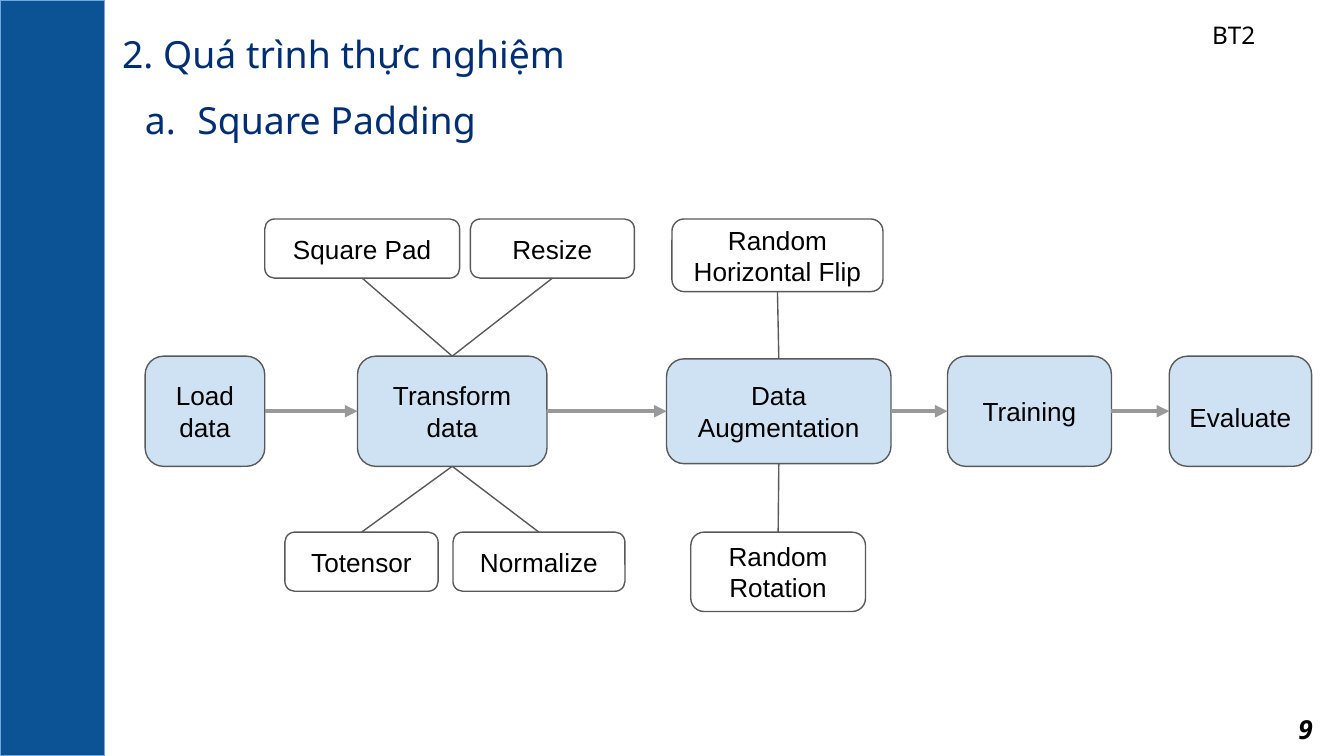
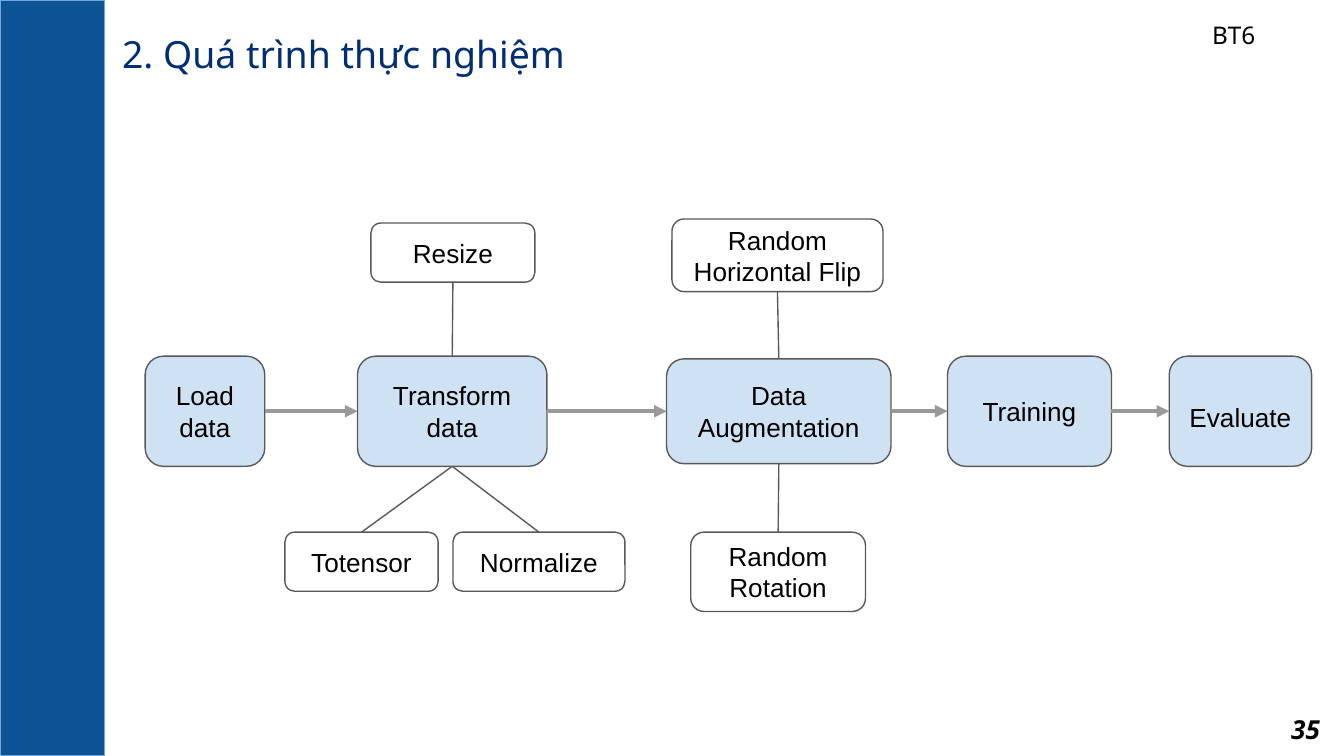
from lxml.etree import SubElement
from pptx import Presentation
from pptx.dml.color import RGBColor
from pptx.enum.shapes import MSO_CONNECTOR, MSO_SHAPE
from pptx.enum.text import MSO_ANCHOR, PP_ALIGN
from pptx.oxml.ns import qn
from pptx.util import Inches, Pt

# Shared style
BLACK = RGBColor(0x00, 0x00, 0x00)
WHITE = RGBColor(0xFF, 0xFF, 0xFF)
NAVY = RGBColor(0x00, 0x2E, 0x75)
BAND_BLUE = RGBColor(0x0B, 0x53, 0x94)
BAND_EDGE = RGBColor(0x6F, 0xA8, 0xDC)
STAGE_BLUE = RGBColor(0xCF, 0xE2, 0xF3)
OUTLINE = RGBColor(0x59, 0x59, 0x59)
ARROW_GREY = RGBColor(0x99, 0x99, 0x99)
HEADING_FONT = "Noto Sans"
DIAGRAM_FONT = "Arial"

# Widescreen, 16:9
SLIDE_WIDTH = 10
SLIDE_HEIGHT = SLIDE_WIDTH * 9 / 16
TITLE = "2. Quá trình thực nghiệm"

# Connection sites of a rounded rectangle
TOP, LEFT, BOTTOM, RIGHT = range(4)

# Main flow, left to right: text, left, top, width, height
STAGES = [
    ("Load data", 1.08, 2.65, 0.89, 0.82),
    ("Transform data", 2.66, 2.65, 1.41, 0.82),
    ("Data Augmentation", 4.96, 2.67, 1.67, 0.78),
    ("Training", 7.05, 2.65, 1.22, 0.82),
    ("Evaluate", 8.7, 2.65, 1.06, 0.82),
]
LINE_SPACING = {"Evaluate": 1.36}

# Steps on both slides, grouped by the stage they belong to
STEPS_ABOVE = {"Data Augmentation": [("Random Horizontal Flip", 5, 1.63, 1.57, 0.54)]}
STEPS_BELOW = {
    "Transform data": [
        ("Totensor", 2.12, 3.96, 1.14, 0.44),
        ("Normalize", 3.37, 3.96, 1.28, 0.44),
    ],
    "Data Augmentation": [("Random Rotation", 5.14, 3.96, 1.3, 0.59)],
}


def write_text(shape, text, font_name, size, color=BLACK, align=PP_ALIGN.CENTER,
               anchor=MSO_ANCHOR.MIDDLE, spacing=1.0):
    """Fill a shape with one styled paragraph and return the paragraph."""
    frame = shape.text_frame
    frame.word_wrap = True
    frame.vertical_anchor = anchor
    frame.margin_left = frame.margin_right = Inches(0.1)
    frame.margin_top = frame.margin_bottom = Inches(0.1)
    paragraph = frame.paragraphs[0]
    paragraph.text = text
    paragraph.alignment = align
    paragraph.line_spacing = spacing
    paragraph.font.name = font_name
    paragraph.font.size = Pt(size)
    paragraph.font.color.rgb = color
    return paragraph


def add_label(slide, text, box, size, **style):
    text_box = slide.shapes.add_textbox(*map(Inches, box))
    return write_text(text_box, text, HEADING_FONT, size, spacing=1.15, **style)


def add_heading(slide, text, left, top):
    return add_label(slide, text, (left, top, 3.89, 0.54), 20, color=NAVY,
                     align=PP_ALIGN.LEFT, anchor=MSO_ANCHOR.TOP)


def add_lettered_heading(slide, text, left, top):
    paragraph = add_heading(slide, text, left, top)
    properties = paragraph._p.get_or_add_pPr()
    properties.set("marL", str(Inches(0.5)))
    properties.set("indent", str(Inches(-0.39)))
    bullet_color = SubElement(properties, qn("a:buClr"))
    SubElement(bullet_color, qn("a:srgbClr"), val=str(NAVY))
    SubElement(properties, qn("a:buAutoNum"), type="alphaLcPeriod")
    # Default run properties must follow the bullet settings
    properties.append(properties.find(qn("a:defRPr")))


def add_panel(slide, kind, box, fill, line):
    shape = slide.shapes.add_shape(kind, *map(Inches, box))
    shape.shadow.inherit = False
    shape.fill.solid()
    shape.fill.fore_color.rgb = fill
    shape.line.color.rgb = line
    shape.line.width = Pt(0.75)
    return shape


def add_node(slide, text, box, fill):
    node = add_panel(slide, MSO_SHAPE.ROUNDED_RECTANGLE, box, fill, OUTLINE)
    write_text(node, text, DIAGRAM_FONT, 14, spacing=LINE_SPACING.get(text, 1.0))
    return node


def connect(slide, start, start_site, end, end_site, color=OUTLINE, width=0.75):
    connector = slide.shapes.add_connector(MSO_CONNECTOR.STRAIGHT, 0, 0, 0, 0)
    connector.begin_connect(start, start_site)
    connector.end_connect(end, end_site)
    connector.line.color.rgb = color
    connector.line.width = Pt(width)
    SubElement(connector._element.spPr, qn("a:effectLst"))
    return connector


def add_arrow(slide, start, end):
    arrow = connect(slide, start, RIGHT, end, LEFT, ARROW_GREY, 2.25)
    SubElement(arrow.line._get_or_add_ln(), qn("a:tailEnd"), type="triangle")


def add_steps(slide, stages, steps_by_stage, stage_site, step_site):
    for stage_name, steps in steps_by_stage.items():
        for text, *box in steps:
            step = add_node(slide, text, box, WHITE)
            connect(slide, step, step_site, stages[stage_name], stage_site)


def add_pipeline(slide, transform_steps_above):
    stages = {text: add_node(slide, text, box, STAGE_BLUE) for text, *box in STAGES}
    nodes = list(stages.values())
    for start, end in zip(nodes, nodes[1:]):
        add_arrow(slide, start, end)
    above = {"Transform data": transform_steps_above, **STEPS_ABOVE}
    add_steps(slide, stages, above, TOP, BOTTOM)
    add_steps(slide, stages, STEPS_BELOW, BOTTOM, TOP)


def add_base_slide(presentation, tag, number):
    """Add a slide with the side band, title, exercise tag and page number."""
    slide = presentation.slides.add_slide(presentation.slide_layouts[6])
    add_panel(slide, MSO_SHAPE.RECTANGLE, (0, 0, 0.78, SLIDE_HEIGHT), BAND_BLUE, BAND_EDGE)
    add_heading(slide, TITLE, 0.81, 0.08)
    add_label(slide, tag, (8.36, 0, 1.64, 0.49), 13)
    page_number = add_label(slide, number, (9.43, 5.19, 0.57, 0.44), 14)
    page_number.font.bold = True
    page_number.font.italic = True
    return slide


def main():
    presentation = Presentation()
    presentation.slide_width = Inches(SLIDE_WIDTH)
    presentation.slide_height = Inches(SLIDE_HEIGHT)

    # Square padding pipeline
    slide = add_base_slide(presentation, "BT2", "9")
    add_lettered_heading(slide, "Square Padding", 0.87, 0.57)
    add_pipeline(slide, [
        ("Square Pad", 1.97, 1.63, 1.45, 0.44),
        ("Resize", 3.5, 1.63, 1.22, 0.44),
    ])

    # Resize-only pipeline
    slide = add_base_slide(presentation, "BT6", "35")
    add_pipeline(slide, [("Resize", 2.76, 1.66, 1.22, 0.44)])

    presentation.save("out.pptx")


if __name__ == "__main__":
    main()
